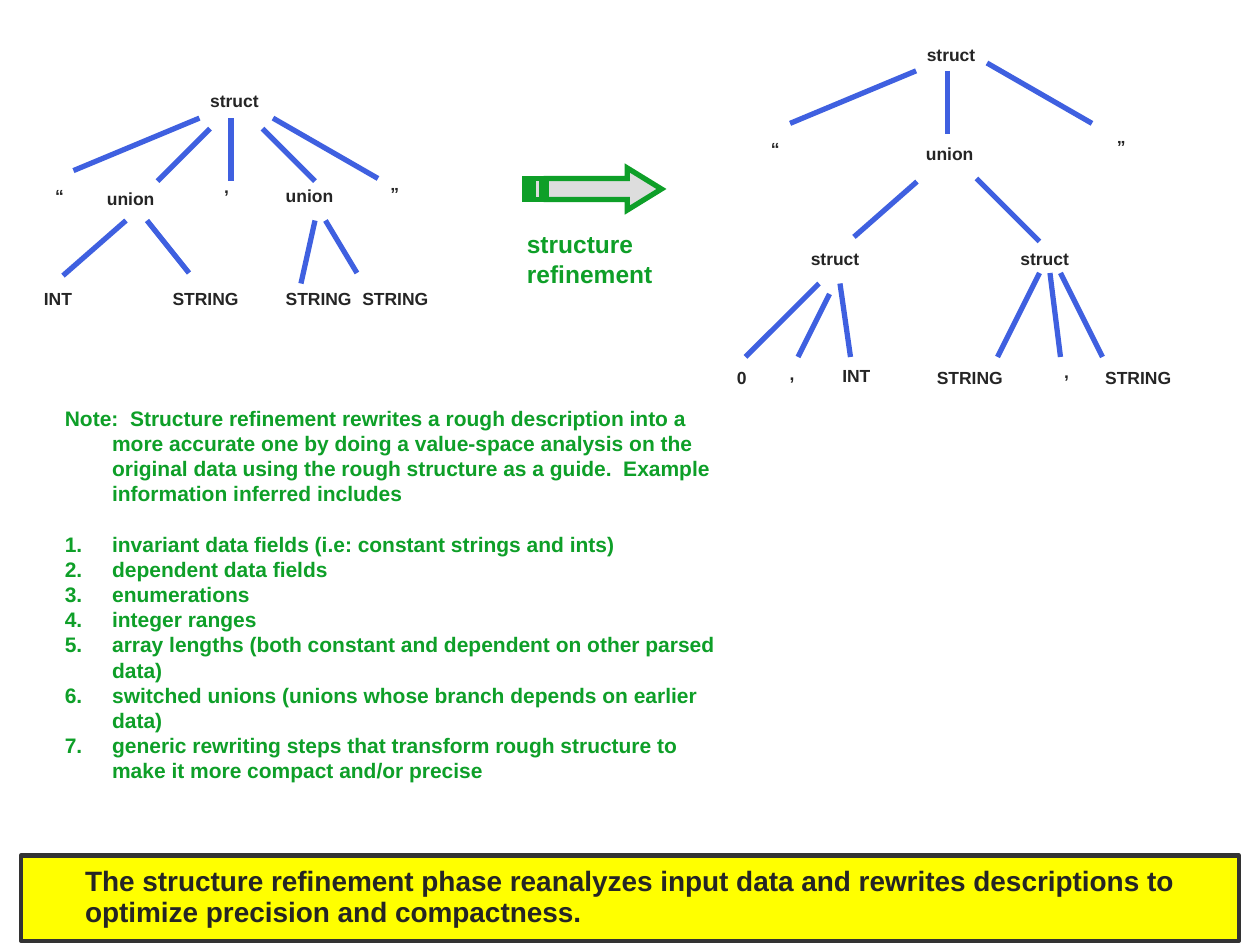
from pptx import Presentation
from pptx.dml.color import RGBColor
from pptx.enum.shapes import MSO_CONNECTOR, MSO_SHAPE
from pptx.enum.text import MSO_ANCHOR, MSO_AUTO_SIZE, PP_ALIGN
from pptx.oxml.ns import qn
from pptx.util import Pt
from lxml.etree import SubElement

INK = RGBColor(0x25, 0x25, 0x25)
GREEN = RGBColor(0x0E, 0x9F, 0x28)
BLUE = RGBColor(0x3F, 0x60, 0xE0)
GREY = RGBColor(0xDD, 0xDD, 0xDD)
YELLOW = RGBColor(0xFF, 0xFF, 0x00)
BORDER = RGBColor(0x33, 0x33, 0x33)

LABEL_WIDTHS = {"struct": 42.5, "union": 42.5, "STRING": 52.5, "INT": 31.5,
                "“": 20, "”": 20, "0": 20.5, ",": 18}

ROUGH_LABELS = [
    ("struct", 113, 48.2), ("“", 24.5, 102.2), ("union", 54, 103.7),
    (",", 121, 97.2), ("union", 156.2, 102.2), ("”", 216, 100.8),
    ("INT", 18, 160.8), ("STRING", 91.6, 160.8),
    ("STRING", 156.2, 160.8), ("STRING", 200, 160.8),
]
ROUGH_BRANCHES = [
    (42, 97.5, 114, 67.5), (132, 67.5, 132, 103.5), (156, 67.5, 216, 102),
    (120, 73.5, 90, 103.5), (150, 73.5, 180, 103.5),
    (72, 126, 36, 157.5), (84, 126, 108, 156),
    (180, 126, 172, 162), (186, 126, 204, 156),
]
REFINED_LABELS = [
    ("struct", 522.5, 21.6), ("“", 433.5, 75.6), ("union", 522, 78),
    ("”", 631.2, 74.2), ("struct", 456.2, 138.2), ("struct", 576, 138.2),
    ("0", 414, 205.9), (",", 444.2, 203.8), ("INT", 474.2, 204.8),
    ("STRING", 528.3, 205.9), (",", 601, 203), ("STRING", 624.5, 205.9),
]
REFINED_BRANCHES = [
    (451.5, 70.5, 523.5, 40.5), (541.5, 40.5, 541.5, 76.5), (564, 36, 624, 70.5),
    (524, 103.8, 488, 135.4), (558, 102, 594, 138),
    (468, 162, 426, 204), (474, 168, 456, 204), (480, 162, 486, 204),
    (594, 156, 570, 204), (600, 156, 606, 204), (606, 156, 630, 204),
]

NOTE = ("Note:  Structure refinement rewrites a rough description into a more accurate "
        "one by doing a value-space analysis on the original data using the rough "
        "structure as a guide.  Example information inferred includes")
INFERRED = [
    "invariant data fields (i.e: constant strings and ints)",
    "dependent data fields",
    "enumerations",
    "integer ranges",
    "array lengths (both constant and dependent on other parsed data)",
    "switched unions (unions whose branch depends on earlier data)",
    "generic rewriting steps that transform rough structure to make it more compact "
    "and/or precise",
]
SUMMARY = ("The structure refinement phase reanalyzes input data and rewrites "
           "descriptions to optimize precision and compactness.")


def write(paragraph, text, size=10, color=INK, spacing=None, before=None,
          hanging=None, numbered=False):
    paragraph.add_run().text = text
    paragraph.alignment = PP_ALIGN.LEFT
    properties = paragraph._p.get_or_add_pPr()
    if hanging:
        properties.set("marL", str(Pt(hanging)))
        properties.set("indent", str(-Pt(hanging)))
    if numbered:
        bullet_color = SubElement(properties, qn("a:buClr"))
        SubElement(bullet_color, qn("a:srgbClr"), val=str(color))
        SubElement(properties, qn("a:buFont"), typeface="Arial")
        SubElement(properties, qn("a:buAutoNum"), type="arabicPeriod")
    if spacing:
        paragraph.line_spacing = spacing
    if before:
        paragraph.space_before = Pt(before)
    font = paragraph.runs[0].font
    font.name = "Arial"
    font.size = Pt(size)
    font.bold = True
    font.color.rgb = color


def add_text_frame(slide, left, top, width, height, wrap=False):
    box = slide.shapes.add_textbox(Pt(left), Pt(top), Pt(width), Pt(height))
    frame = box.text_frame
    frame.word_wrap = wrap
    frame.auto_size = MSO_AUTO_SIZE.SHAPE_TO_FIT_TEXT
    return frame


def add_branch(slide, x1, y1, x2, y2):
    branch = slide.shapes.add_connector(MSO_CONNECTOR.STRAIGHT,
                                        Pt(x1), Pt(y1), Pt(x2), Pt(y2))
    branch.line.color.rgb = BLUE
    branch.line.width = Pt(3)
    SubElement(branch._element.spPr, qn("a:effectLst"))


def add_tree(slide, labels, branches):
    for text, left, top in labels:
        frame = add_text_frame(slide, left, top, LABEL_WIDTHS[text], 19.4)
        write(frame.paragraphs[0], text)
    for ends in branches:
        add_branch(slide, *ends)


def paint(shape, fill, line, width):
    shape.shadow.inherit = False
    shape.fill.solid()
    shape.fill.fore_color.rgb = fill
    shape.line.color.rgb = line
    shape.line.width = Pt(width)


def add_striped_arrow(slide):
    left, right, top, middle, bottom = 300, 378, 96, 108, 120
    upper, lower, neck = 102, 114, 358.5
    unit = (right - left) / 32
    body = [(left + 5 * unit, upper), (neck, upper), (neck, top), (right, middle),
            (neck, bottom), (neck, lower), (left + 5 * unit, lower)]
    stripes = [[(left + a * unit, upper), (left + b * unit, upper),
                (left + b * unit, lower), (left + a * unit, lower)]
               for a, b in ((0, 1), (2, 4))]
    outlines = [[(Pt(x), Pt(y)) for x, y in outline] for outline in [body, *stripes]]
    builder = slide.shapes.build_freeform(*outlines[0][0])
    builder.add_line_segments(outlines[0][1:], close=True)
    for outline in outlines[1:]:
        builder.move_to(*outline[0])
        builder.add_line_segments(outline[1:], close=True)
    arrow = builder.convert_to_shape()
    paint(arrow, GREY, GREEN, 3)
    SubElement(arrow.line._get_or_add_ln(), qn("a:miter"), lim="800000")


def add_refinement_caption(slide):
    frame = add_text_frame(slide, 294, 127.5, 88, 41)
    write(frame.paragraphs[0], "structure", size=14, color=GREEN)
    write(frame.add_paragraph(), "refinement", size=14, color=GREEN)


def add_note(slide):
    frame = add_text_frame(slide, 30, 228, 390, 223, wrap=True)
    write(frame.paragraphs[0], NOTE, size=12, color=GREEN, hanging=27)
    for number, item in enumerate(INFERRED):
        write(frame.add_paragraph(), item, size=12, color=GREEN, hanging=27,
              numbered=True, before=14.4 if number == 0 else None)


def add_summary(slide):
    banner = slide.shapes.add_shape(MSO_SHAPE.RECTANGLE, Pt(12), Pt(488.8), Pt(696), Pt(48.8))
    paint(banner, YELLOW, BORDER, 2.5)
    frame = banner.text_frame
    frame.word_wrap = True
    frame.vertical_anchor = MSO_ANCHOR.BOTTOM
    frame.margin_left, frame.margin_right = Pt(36.6), Pt(21.6)
    frame.margin_top = frame.margin_bottom = Pt(7.2)
    write(frame.paragraphs[0], SUMMARY, size=16, spacing=0.9)


def main():
    presentation = Presentation()
    presentation.slide_width, presentation.slide_height = Pt(720), Pt(540)
    slide = presentation.slides.add_slide(presentation.slide_layouts[6])
    add_tree(slide, ROUGH_LABELS, ROUGH_BRANCHES)
    add_tree(slide, REFINED_LABELS, REFINED_BRANCHES)
    add_striped_arrow(slide)
    add_refinement_caption(slide)
    add_note(slide)
    add_summary(slide)
    presentation.save("out.pptx")


if __name__ == "__main__":
    main()
